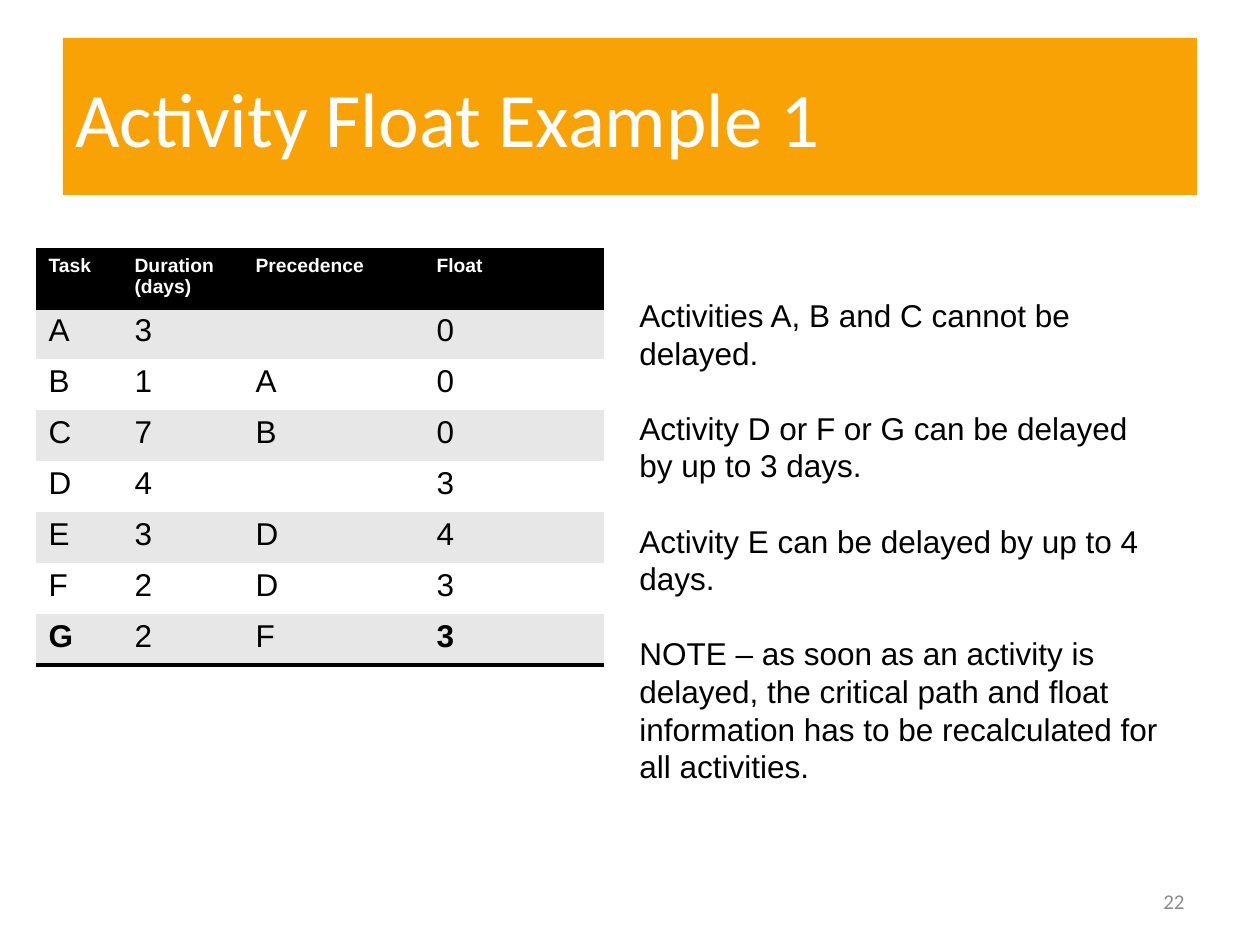
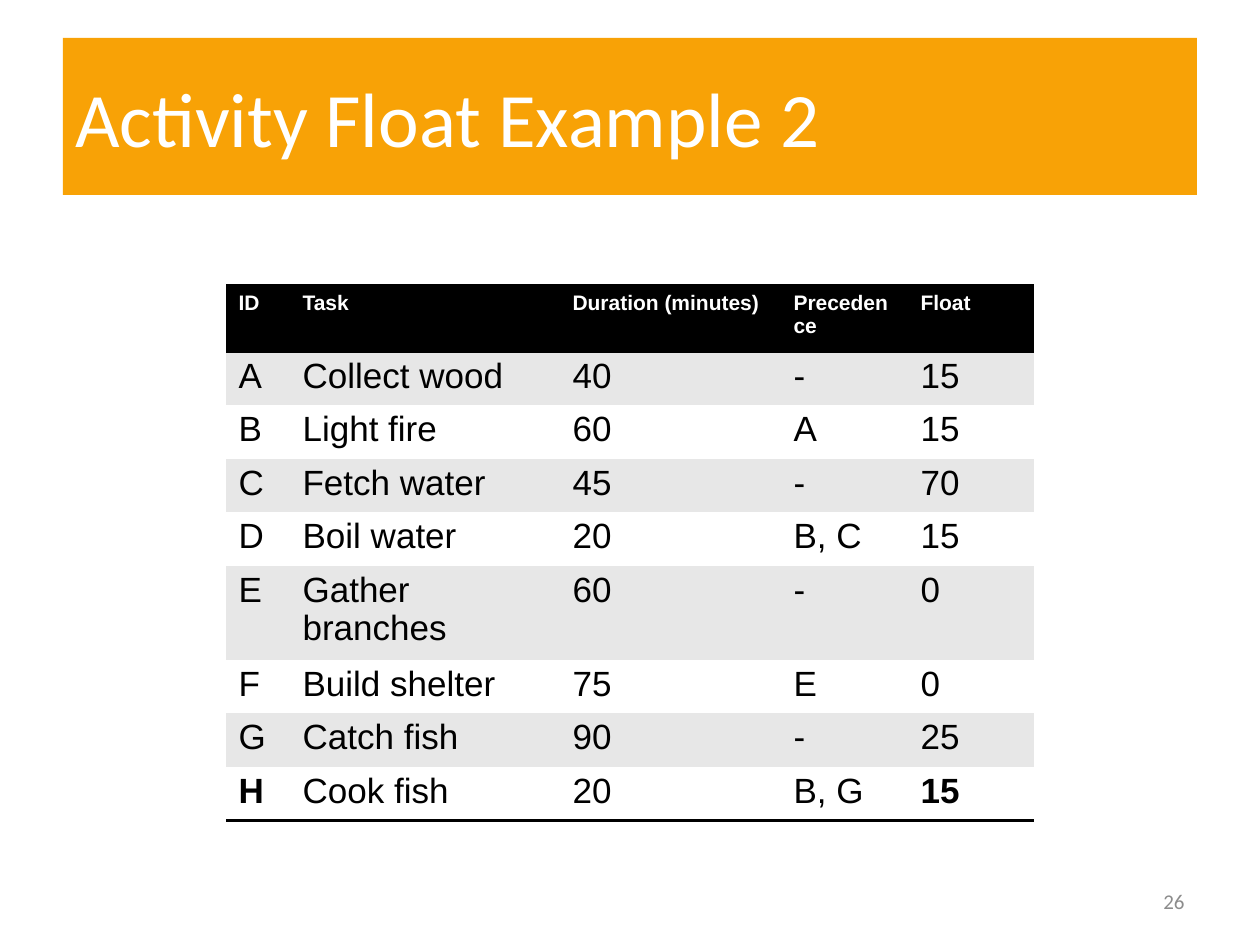
"""Builds two slides on activity float, each with a title band and a task table."""
from lxml import etree
from pptx import Presentation
from pptx import util as u
from pptx.dml.color import RGBColor
from pptx.enum import shapes, text
from pptx.oxml.ns import qn

COLOURS = {"band": "F8A206", "white": "FFFFFF", "black": "000000",
           "stripe": "E7E7E7", "number": "8C8C8C"}
PLAIN_TABLE_STYLE = "{2D5ABB26-0587-4C30-8999-92F81FD0307C}"
TITLE_BOX = (63, 38, 1134, 157)
NUMBER_BOX = (903, 876, 294, 50)

FLOAT_TASKS = [
    ["Task", "Duration\n(days)", "Precedence", "Float"],
    ["A", "3", "", "0"],
    ["B", "1", "A", "0"],
    ["C", "7", "B", "0"],
    ["D", "4", "", "3"],
    ["E", "3", "D", "4"],
    ["F", "2", "D", "3"],
    ["G", "2", "F", "3"],
]
CAMP_TASKS = [
    ["ID", "Task", "Duration (minutes)", "Precedence", "Float"],
    ["A", "Collect wood", "40", "-", "15"],
    ["B", "Light fire", "60", "A", "15"],
    ["C", "Fetch water", "45", "-", "70"],
    ["D", "Boil water", "20", "B, C", "15"],
    ["E", "Gather branches", "60", "-", "0"],
    ["F", "Build shelter", "75", "E", "0"],
    ["G", "Catch fish", "90", "-", "25"],
    ["H", "Cook fish", "20", "B, G", "15"],
]
FLOAT_NOTES = [
    "Activities A, B and C cannot be delayed.",
    "Activity D or F or G can be delayed by up to 3 days.",
    "Activity E can be delayed by up to 4 days.",
    "NOTE – as soon as an activity is delayed, the critical path and float "
    "information has to be recalculated for all activities.",
]


def px(length):
    """Turn a length in px into EMU."""
    return u.Emu(round(length * u.Inches(1) / 126))


def colour(name):
    """Return a named colour."""
    return RGBColor.from_string(COLOURS[name])


def style_text(frame, ink, font, paragraph=None):
    """Apply font and paragraph formats to all the text of a frame."""
    for para in frame.paragraphs:
        for key, value in (paragraph or {}).items():
            setattr(para, key, value)
        for span in para.runs:
            span.font.color.rgb = colour(ink)
            for key, value in font.items():
                setattr(span.font, key, value)


def add_title(page, box, title):
    """Draw the title band."""
    band = page.shapes.add_shape(shapes.MSO_SHAPE.RECTANGLE, *map(px, box))
    band.shadow.inherit = False
    band.fill.solid()
    band.fill.fore_color.rgb = colour("band")
    band.line.fill.background()
    band.text_frame.text = title
    band.text_frame.vertical_anchor = text.MSO_ANCHOR.MIDDLE
    style_text(band.text_frame, "white", {"name": "Calibri", "size": u.Pt(44)},
               {"alignment": text.PP_ALIGN.LEFT})


def add_text(page, box, words, anchor, ink, font, paragraph):
    """Place a wrapped text box."""
    frame = page.shapes.add_textbox(*map(px, box)).text_frame
    frame.word_wrap = True
    frame.vertical_anchor = anchor
    frame.text = words
    style_text(frame, ink, font, paragraph)


def add_number(page, box, number):
    """Place the page number."""
    add_text(page, box, str(number), text.MSO_ANCHOR.MIDDLE, "number",
             {"name": "Calibri", "size": u.Pt(12)},
             {"alignment": text.PP_ALIGN.RIGHT})


def add_notes(page, box, notes):
    """Place the remarks beside the table."""
    add_text(page, box, "\n".join(notes), text.MSO_ANCHOR.TOP, "black",
             {"name": "Arial", "size": u.Pt(18)},
             {"line_spacing": u.Pt(21.5), "space_after": u.Pt(21.5)})


def add_border(cell, side):
    """Draw a black rule on one side of a cell."""
    line = etree.SubElement(cell._tc.get_or_add_tcPr(), qn(f"a:ln{side}"),
                            w=str(u.Pt(2)))
    fill = etree.SubElement(line, qn("a:solidFill"))
    etree.SubElement(fill, qn("a:srgbClr"), val=COLOURS["black"])


def add_task_table(page, corner, widths, heights, rows, sizes):
    """Draw a striped task table with a black header and a closing rule."""
    box = (*corner, sum(widths), sum(heights))
    table = page.shapes.add_table(len(rows), len(widths), *map(px, box)).table
    table.horz_banding = False
    table._tbl.tblPr.find(qn("a:tableStyleId")).text = PLAIN_TABLE_STYLE
    for column, width in zip(table.columns, widths):
        column.width = px(width)
    for row, height in zip(table.rows, heights):
        row.height = px(height)
    last_row, last_column = len(rows) - 1, len(widths) - 1
    for r, row in enumerate(rows):
        header = r == 0
        for c, words in enumerate(row):
            cell = table.cell(r, c)
            if header:
                add_border(cell, "T")
            if r in (0, last_row):
                add_border(cell, "B")
            cell.fill.solid()
            cell.fill.fore_color.rgb = colour(
                "black" if header else "stripe" if r % 2 else "white")
            cell.text = words
            bold = header or (r == last_row and c in (0, last_column))
            font = {"name": "Arial", "size": u.Pt(sizes[min(r, 1)]), "bold": bold}
            style_text(cell.text_frame, "white" if header else "black", font,
                       {"line_spacing": 0.97})


def add_page(deck, title, number):
    """Add a page with the shared title band and number."""
    page = deck.slides.add_slide(deck.slide_layouts[6])
    add_title(page, TITLE_BOX, title)
    add_number(page, NUMBER_BOX, number)
    return page


def main():
    """Build and save the deck."""
    deck = Presentation()
    deck.slide_width, deck.slide_height = px(1260), px(945)

    page = add_page(deck, "Activity Float Example 1", 22)
    add_task_table(page, (36, 250), [86, 121, 181, 180], [58] + [51] * 7,
                   FLOAT_TASKS, (11, 18))
    add_notes(page, (627, 290, 546, 432), FLOAT_NOTES)

    page = add_page(deck, "Activity Float Example 2", 26)
    add_task_table(page, (226, 286), [64, 270, 221, 127, 126],
                   [66] + [52] * 4 + [90] + [52] * 3, CAMP_TASKS, (12, 20))
    deck.save("out.pptx")


if __name__ == "__main__":
    main()
